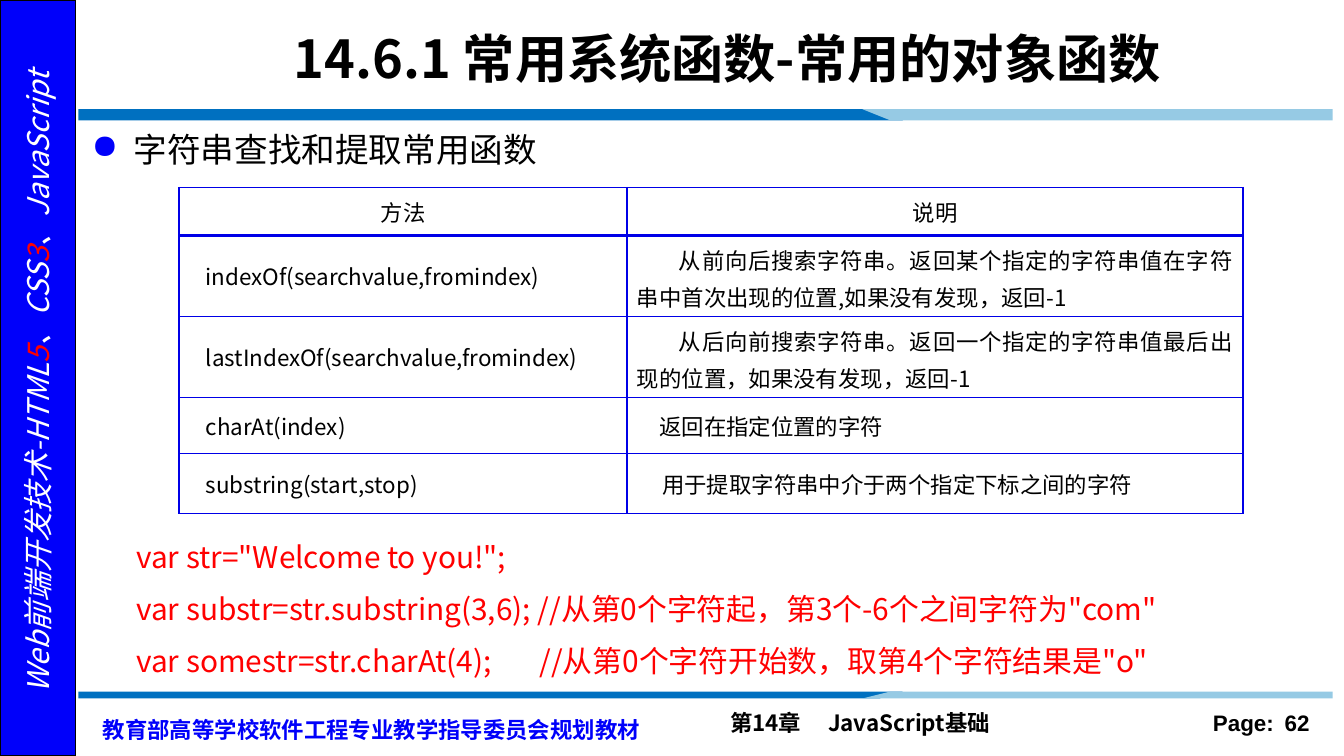
"""Build a lesson slide on the JavaScript string search functions."""
from lxml import etree
from pptx import Presentation
from pptx.dml.color import RGBColor
from pptx.enum.shapes import MSO_SHAPE
from pptx.enum.text import MSO_ANCHOR, PP_ALIGN
from pptx.oxml.ns import qn
from pptx.util import Pt

PX = 9525
SANS = "Noto Sans CJK SC"
ARIAL = "Arial"
BLACK = RGBColor(0x00, 0x00, 0x00)
WHITE = RGBColor(0xFF, 0xFF, 0xFF)
RED = RGBColor(0xFF, 0x00, 0x00)
BLUE = RGBColor(0x00, 0x00, 0xFA)
BORDER_BLUE = RGBColor(0x00, 0x00, 0xE7)
BAR_DARK = RGBColor(0x00, 0x70, 0xC0)
BAR_LIGHT = RGBColor(0x96, 0xCA, 0xE4)
RECTANGLE = MSO_SHAPE.RECTANGLE
MIDDLE = MSO_ANCHOR.MIDDLE
LEFT, CENTER, RIGHT, JUSTIFY = (
    PP_ALIGN.LEFT, PP_ALIGN.CENTER, PP_ALIGN.RIGHT, PP_ALIGN.JUSTIFY)

COLUMNS = [320, 440]
ROW_HEIGHTS = [34, 58, 58, 40, 43]
HEADER = ["方法", "说明"]
METHODS = [
    ("indexOf(searchvalue,fromindex)",
     "从前向后搜索字符串。返回某个指定的字符串值在字符串中首次出现的位置,如果没有发现，返回-1", 30, 20),
    ("lastIndexOf(searchvalue,fromindex)",
     "从后向前搜索字符串。返回一个指定的字符串值最后出现的位置，如果没有发现，返回-1", 30, 20),
    ("charAt(index)", "返回在指定位置的字符", 16, None),
    ("substring(start,stop)", "用于提取字符串中介于两个指定下标之间的字符", 18, None),
]
CODE = [
    'var str="Welcome to you!";',
    'var substr=str.substring(3,6); //从第0个字符起，第3个-6个之间字符为"com"',
    'var somestr=str.charAt(4);\t//从第0个字符开始数，取第4个字符结果是"o"',
]
COURSE = [("Web前端开发技术-HTML", WHITE), ("5", RED), ("、CSS", WHITE),
          ("3", RED), ("、JavaScript", WHITE)]


def write(paragraph, pieces, size, align=LEFT, font=SANS, bold=False, italic=False, spacing=None):
    """Fill a paragraph with (text, colour) pieces in one style."""
    paragraph.alignment = align
    if spacing:
        paragraph.line_spacing = Pt(spacing)
    for text, color in pieces:
        run = paragraph.add_run()
        run.text = text
        run.font.size = Pt(size)
        run.font.bold = bold
        run.font.italic = italic
        run.font.color.rgb = color
        run.font.name = font
        east_asian = etree.SubElement(run.font._element, qn("a:ea"))
        east_asian.set("typeface", font)


def indent(paragraph, margin, first):
    """Set the left margin and the first-line indent."""
    properties = paragraph._p.get_or_add_pPr()
    properties.set("marL", str(margin * PX))
    properties.set("indent", str(first * PX))


def add_bullet(paragraph, color):
    """Give a paragraph a round coloured bullet."""
    properties = paragraph._p.get_or_add_pPr()
    bullet_color = etree.SubElement(properties, qn("a:buClr"))
    etree.SubElement(bullet_color, qn("a:srgbClr")).set("val", str(color))
    etree.SubElement(properties, qn("a:buChar")).set("char", "●")


def add_tab(paragraph, position):
    """Add a left tab stop."""
    tabs = etree.SubElement(paragraph._p.get_or_add_pPr(), qn("a:tabLst"))
    etree.SubElement(tabs, qn("a:tab"), pos=str(position * PX), algn="l")


def add_text(slide, left, top, width, height, pieces, size, **style):
    """Add a wrapping text box and return it with its first paragraph."""
    box = slide.shapes.add_textbox(left * PX, top * PX, width * PX, height * PX)
    box.text_frame.word_wrap = True
    paragraph = box.text_frame.paragraphs[0]
    write(paragraph, pieces, size, **style)
    return box, paragraph


def add_polygon(slide, points, color):
    """Add a filled outline without a line."""
    builder = slide.shapes.build_freeform(*points[0], scale=PX)
    builder.add_line_segments(points[1:], close=True)
    shape = builder.convert_to_shape()
    shape.shadow.inherit = False
    shape.fill.solid()
    shape.fill.fore_color.rgb = color
    shape.line.fill.background()


def add_divider(slide, near, far):
    """Add a two-tone bar whose slanted joint runs from near to far."""
    add_polygon(slide, [(56, near), (628, near), (645, far), (56, far)], BAR_DARK)
    add_polygon(slide, [(616, near), (952, near), (952, far), (636, far)], BAR_LIGHT)


def add_sidebar(slide):
    """Add the blue side band with the rotated course name."""
    band = slide.shapes.add_shape(RECTANGLE, 0, 0, 54 * PX, 540 * PX)
    band.shadow.inherit = False
    band.fill.solid()
    band.fill.fore_color.rgb = BLUE
    band.line.color.rgb = BLACK
    band.line.width = Pt(1)
    label, _ = add_text(slide, -222, 255, 498, 36, COURSE, 16, align=CENTER, italic=True)
    label.rotation = 270


def add_footer(slide):
    """Add the series, chapter and page labels."""
    _, chapter = add_text(slide, 512, 502, 316, 29, [("第14章\tJavaScript基础", BLACK)], 12, bold=True)
    add_tab(chapter, 70)
    _, page = add_text(slide, 832, 502, 120, 29, [("Page:\t62", BLACK)], 12, font=ARIAL, bold=True)
    indent(page, 0, 25)
    add_tab(page, 82)
    add_text(slide, 64, 502, 416, 34, [("教育部高等学校软件工程专业教学指导委员会规划教材", BLUE)],
             12, bold=True, spacing=18)


def style_cell(cell, bottom):
    """Set the margins, white fill and blue borders of a cell."""
    cell.margin_left = cell.margin_right = 7 * PX
    cell.margin_top = cell.margin_bottom = 0
    cell.vertical_anchor = MIDDLE
    properties = cell._tc.get_or_add_tcPr()
    for side, width in (("L", 1), ("R", 1), ("T", 1), ("B", bottom)):
        line = etree.SubElement(properties, qn(f"a:ln{side}"), w=str(Pt(width)))
        fill = etree.SubElement(line, qn("a:solidFill"))
        etree.SubElement(fill, qn("a:srgbClr")).set("val", str(BORDER_BLUE))
    cell.fill.solid()
    cell.fill.fore_color.rgb = WHITE


def add_method_table(slide):
    """Add the table of methods and their descriptions."""
    frame = slide.shapes.add_table(len(ROW_HEIGHTS), len(COLUMNS), 128 * PX, 134 * PX,
                                   sum(COLUMNS) * PX, sum(ROW_HEIGHTS) * PX)
    table = frame.table
    table.first_row = table.horz_banding = False
    for column, width in zip(table.columns, COLUMNS):
        column.width = width * PX
    for row, height in zip(table.rows, ROW_HEIGHTS):
        row.height = height * PX
    rows = [[(text, CENTER, 0, None) for text in HEADER]]
    for method, description, first, spacing in METHODS:
        rows.append([(method, JUSTIFY, 12, None), (description, JUSTIFY, first, spacing)])
    for row_index, row in enumerate(rows):
        for column_index, (text, align, first, spacing) in enumerate(row):
            cell = table.cell(row_index, column_index)
            style_cell(cell, 2 if row_index == 0 else 1)
            paragraph = cell.text_frame.paragraphs[0]
            write(paragraph, [(text, BLACK)], 12, align=align, spacing=spacing)
            indent(paragraph, 0, first)


def add_code(slide):
    """Add the red code sample."""
    box, paragraph = add_text(slide, 40, 368, 896, 118, [(CODE[0], RED)], 16, spacing=28)
    indent(paragraph, 48, 0)
    for line in CODE[1:]:
        paragraph = box.text_frame.add_paragraph()
        write(paragraph, [(line, RED)], 16, spacing=28)
        indent(paragraph, 48, 0)
    add_tab(paragraph, 321)


def main():
    """Build and save the slide."""
    presentation = Presentation()
    presentation.slide_width, presentation.slide_height = 960 * PX, 540 * PX
    slide = presentation.slides.add_slide(presentation.slide_layouts[6])
    add_sidebar(slide)
    add_footer(slide)
    add_divider(slide, 78, 86)
    add_divider(slide, 499, 494)
    title, _ = add_text(slide, 112, 11, 815, 60, [("14.6.1 常用系统函数-常用的对象函数", BLACK)],
                        28, align=CENTER, bold=True)
    title.text_frame.vertical_anchor = MIDDLE
    _, topic = add_text(slide, 56, 87, 896, 38, [("字符串查找和提取常用函数", BLACK)], 18)
    indent(topic, 30, -30)
    add_bullet(topic, BLUE)
    add_method_table(slide)
    add_code(slide)
    presentation.save("out.pptx")


if __name__ == "__main__":
    main()
